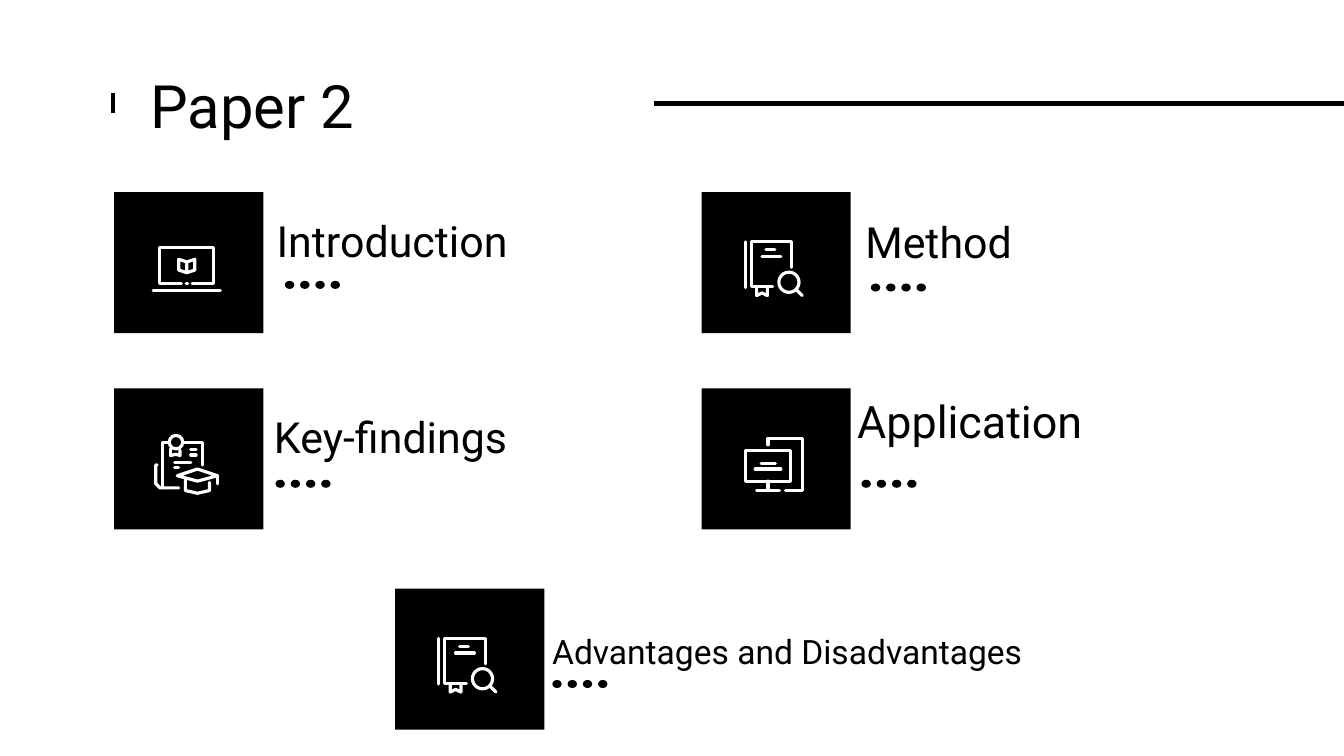
from pptx import Presentation
from pptx.dml.color import RGBColor
from pptx.enum.shapes import MSO_CONNECTOR as CONNECTOR, MSO_SHAPE as SHAPE
from pptx.enum.text import MSO_ANCHOR as ANCHOR
from pptx.oxml.ns import qn
from pptx.util import Inches, Pt
from lxml import etree


class Theme:
    ink = RGBColor(0x00, 0x00, 0x00)
    paper = RGBColor(0xFF, 0xFF, 0xFF)
    font = "Roboto"
    title, heading, large, small = 32, 23, 24, 18
    rule, icon = Pt(2.25), Pt(1.7)


# Icon strokes and circles (left, top, diameter), in hundredths of an inch from the tile corner
LAPTOP = {
    "strokes": [
        [(29, 73), (79, 73)],
        [(50, 68), (34, 68), (34, 41.5), (74, 41.5), (74, 68), (58, 68)],
        [(53.6, 68), (54.6, 68)],
        [(54, 52), (48, 50), (48, 58), (54, 60), (60, 58), (60, 50), (54, 52), (54, 60)],
    ],
    "circles": [],
}
BOOK = {
    "strokes": [
        [(32.5, 37), (32.5, 71)],
        [(67, 56), (67, 37), (37, 37), (37, 70.5), (53, 70.5)],
        [(41, 71), (41, 77), (45, 75), (49, 77), (49, 71)],
        [(48, 43), (54.5, 43)],
        [(45, 48), (59, 48)],
        [(70.5, 72.5), (75, 77)],
    ],
    "circles": [(57.5, 59.5, 15)],
}
DIPLOMA = {
    "strokes": [
        [(42, 45), (42, 50), (46, 49), (49, 50), (49, 46)],
        [(51, 40), (66, 40), (66, 57)],
        [(41, 40), (36, 40), (36, 74)],
        [(32, 57), (31, 57), (31, 71), (34, 74), (48, 74)],
        [(57, 45.5), (61, 45.5)],
        [(57, 49.5), (61, 49.5)],
        [(45, 55), (57, 55)],
        [(45, 59), (48, 59)],
        [(62, 60), (77, 65), (62, 69), (47, 65), (62, 60)],
        [(53, 68), (53, 76), (62, 78), (71, 76), (71, 70)],
        [(77, 65), (77, 71)],
    ],
    "circles": [(41, 35, 10)],
}
MONITOR = {
    "strokes": [
        [(32.5, 46), (66, 46), (66, 69), (32.5, 69), (32.5, 46)],
        [(49.5, 69), (49.5, 76)],
        [(41, 76), (58, 76)],
        [(44.5, 56), (55, 56)],
        [(40, 60), (59, 60)],
        [(49.5, 42), (49.5, 37), (75, 37), (75, 76), (62.5, 76)],
    ],
    "circles": [],
}

# 16:9 slide
prs = Presentation()
prs.slide_width = Inches(10)
prs.slide_height = Inches(10 * 9 / 16)
s = prs.slides.add_slide(prs.slide_layouts[6])
s.background.fill.solid()
s.background.fill.fore_color.rgb = Theme.paper


def add_text(text, box, size, anchor=ANCHOR.MIDDLE):
    tf = s.shapes.add_textbox(*map(Inches, box)).text_frame
    tf.word_wrap = True
    tf.vertical_anchor = anchor
    tf.margin_left = tf.margin_right = tf.margin_top = tf.margin_bottom = Inches(0.1)
    r = tf.paragraphs[0].add_run()
    r.text = text
    r.font.name, r.font.size, r.font.color.rgb = Theme.font, Pt(size), Theme.ink


def add_solid(kind, x, y, w, h):
    sp = s.shapes.add_shape(kind, Inches(x), Inches(y), Inches(w), Inches(h))
    sp.shadow.inherit = False
    sp.fill.solid()
    sp.fill.fore_color.rgb = Theme.ink
    sp.line.fill.background()
    return sp


# Title with its tick and rule
add_text("Paper 2", (1.02, 0.41, 8.19, 0.63), Theme.title, ANCHOR.TOP)
for ends in [(10.07, 0.77, 4.87, 0.77), (0.84, 0.69, 0.84, 0.84)]:
    line = s.shapes.add_connector(CONNECTOR.STRAIGHT, *map(Inches, ends))
    line.line.color.rgb, line.line.width = Theme.ink, Theme.rule
    etree.SubElement(line._element.spPr, qn("a:effectLst"))

# Sections: heading, size, text box, tile corner, first dot, icon
sections = [
    ("Introduction", Theme.heading, (1.96, 1.57, 2.53, 0.43), (0.85, 1.43), (2.12, 2.09), LAPTOP),
    ("Method", Theme.heading, (6.34, 1.58, 2.53, 0.43), (5.22, 1.43), (6.48, 2.11), BOOK),
    ("Key-findings", Theme.heading, (1.94, 3.03, 2.53, 0.43), (0.85, 2.89), (2.05, 3.57), DIPLOMA),
    ("Application", Theme.large, (6.28, 2.61, 3.88, 1.04), (5.22, 2.89), (6.41, 3.57), MONITOR),
    ("Advantages and Disadvantages", Theme.small, (4.01, 4.64, 4.64, 0.41),
     (2.94, 4.38), (4.11, 5.06), BOOK),
]
for heading, size, box, (x, y), (dot_x, dot_y), icon in sections:
    add_text(heading, box, size)
    add_solid(SHAPE.RECTANGLE, x, y, 1.11, 1.05)

    # Row of four dots
    for i in range(4):
        add_solid(SHAPE.OVAL, dot_x + i * 0.34 / 3, dot_y, 0.07, 0.06)

    # Outline icon
    strokes = [[(Inches(x + px / 100), Inches(y + py / 100)) for px, py in stroke]
               for stroke in icon["strokes"]]
    pen = s.shapes.build_freeform(*strokes[0][0])
    for start, *rest in strokes:
        pen.move_to(*start)
        pen.add_line_segments(rest, close=False)
    parts = [pen.convert_to_shape()]
    for cx, cy, d in icon["circles"]:
        parts.append(add_solid(SHAPE.OVAL, x + cx / 100, y + cy / 100, d / 100, d / 100))
    for sp in parts:
        sp.shadow.inherit = False
        sp.fill.background()
        sp.line.color.rgb, sp.line.width = Theme.paper, Theme.icon
        sp._element.spPr.find(qn("a:ln")).set("cap", "rnd")

prs.save("out.pptx")
